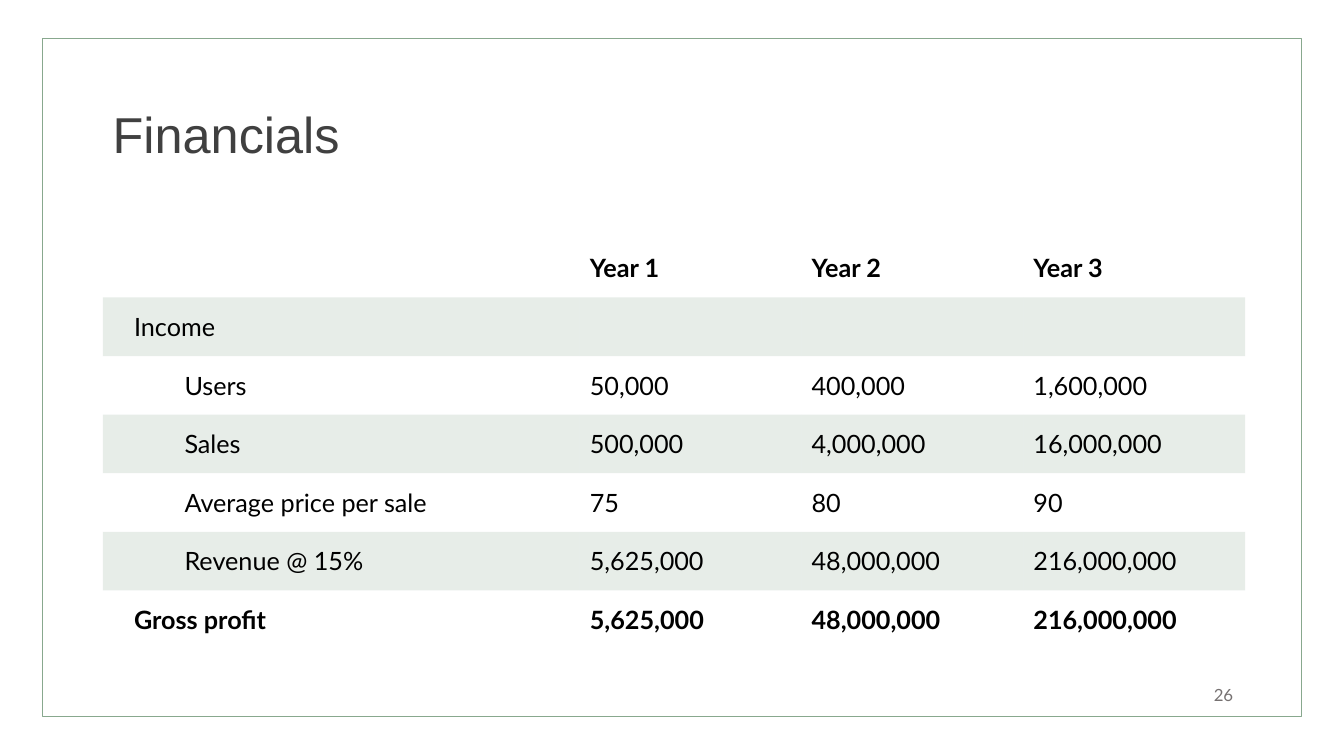
from pptx import Presentation
from pptx.dml.color import RGBColor
from pptx.enum.shapes import MSO_SHAPE
from pptx.enum.text import MSO_ANCHOR, PP_ALIGN
from pptx.oxml.ns import qn
from pptx.util import Inches, Pt
from lxml import etree

COLORS = {"green": "88A88E", "title": "404040", "text": "000000", "number": "767171"}
PLAIN_TABLE_STYLE = "{2D5ABB26-0587-4C30-8999-92F81FD0307C}"
HEADER = ["", "Year 1", "Year 2", "Year 3"]
INCOME = [
    ["Users", "50,000", "400,000", "1,600,000"],
    ["Sales", "500,000", "4,000,000", "16,000,000"],
    ["Average price per sale", "75", "80", "90"],
    ["Revenue @ 15%", "5,625,000", "48,000,000", "216,000,000"],
]
TOTAL = ["Gross profit", "5,625,000", "48,000,000", "216,000,000"]
ROWS = [HEADER, ["Income", "", "", ""], *INCOME, TOTAL]


def add_run(p, text, size, font, color, bold=False):
    r = p.add_run()
    r.text = text
    r.font.size = Pt(size)
    r.font.name = font
    r.font.bold = bold
    r.font.color.rgb = RGBColor.from_string(COLORS[color])


def add_frame(s, left, top, width, height):
    sp = s.shapes.add_shape(MSO_SHAPE.RECTANGLE, Inches(left), Inches(top),
                            Inches(width), Inches(height))
    sp.shadow.inherit = False
    sp.fill.background()
    sp.line.color.rgb = RGBColor.from_string(COLORS["green"])
    sp.line.width = Pt(1)


def add_text(s, left, top, width, height, text, size, font, color,
             align=PP_ALIGN.LEFT, spacing=1.0):
    sp = s.shapes.add_textbox(Inches(left), Inches(top), Inches(width), Inches(height))
    tf = sp.text_frame
    tf.word_wrap = True
    tf.vertical_anchor = MSO_ANCHOR.MIDDLE
    p = tf.paragraphs[0]
    p.alignment = align
    p.line_spacing = spacing
    add_run(p, text, size, font, color)


def fill_cell(cell, banded):
    """Tint a banded cell with translucent green, clear any other."""
    if not banded:
        cell.fill.background()
        return
    cell.fill.solid()
    cell.fill.fore_color.rgb = RGBColor.from_string(COLORS["green"])
    for color in cell.fill._xPr.iter(qn("a:srgbClr")):
        etree.SubElement(color, qn("a:alpha"), val="20000")


def add_financials_table(s, left, top, width, height, label_width):
    frame = s.shapes.add_table(len(ROWS), len(HEADER), Inches(left), Inches(top),
                               Inches(width), Inches(height))
    for style in frame.element.iter(qn("a:tableStyleId")):
        style.text = PLAIN_TABLE_STYLE
    table = frame.table
    table.horz_banding = False
    year_width = (width - label_width) / (len(HEADER) - 1)
    for i, column in enumerate(table.columns):
        column.width = Inches(year_width if i else label_width)
    for i, values in enumerate(ROWS):
        table.rows[i].height = Inches(height / len(ROWS))
        for j, value in enumerate(values):
            cell = table.cell(i, j)
            cell.vertical_anchor = MSO_ANCHOR.MIDDLE
            fill_cell(cell, i % 2 == 1)
            p = cell.text_frame.paragraphs[0]
            if j == 0:
                cell.margin_left = Inches(0.31)
                if values in INCOME:
                    p.level = 1
                    p._p.get_or_add_pPr().set("marL", str(Inches(0.5)))
            if value:
                add_run(p, value, 18, "Lato", "text", bold=values in (HEADER, TOTAL))


def build_financials_slide(prs):
    s = prs.slides.add_slide(prs.slide_layouts[6])
    add_frame(s, 0.42, 0.38, 12.49, 6.73)
    add_text(s, 1.02, 0.53, 11.3, 1.67, "Financials", 36, "Arial", "title", spacing=0.9)
    add_financials_table(s, 1.02, 2.37, 11.33, 4.07, label_width=4.73)
    add_text(s, 9.33, 6.69, 3, 0.4, "26", 12, "Lato", "number", align=PP_ALIGN.RIGHT)


def main():
    prs = Presentation()
    prs.slide_width = Inches(13.33)
    prs.slide_height = Inches(7.5)
    build_financials_slide(prs)
    prs.save("out.pptx")


if __name__ == "__main__":
    main()
